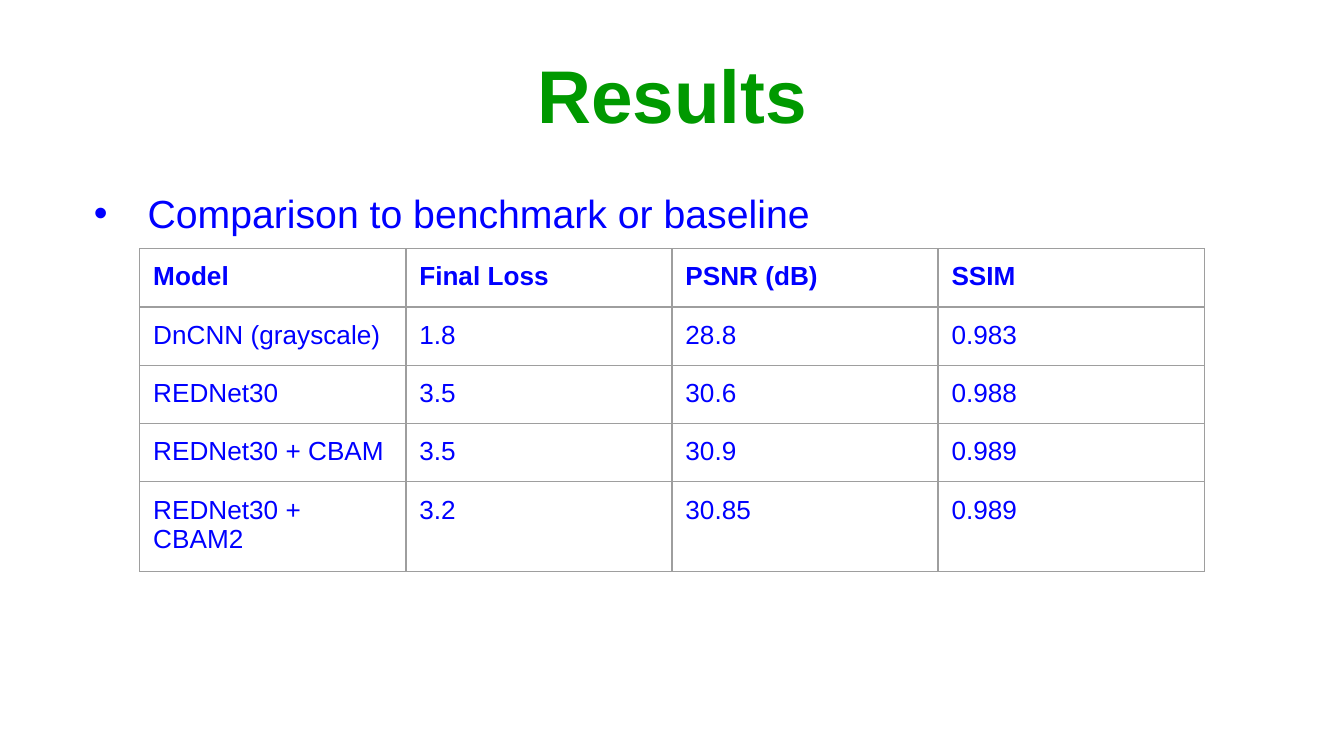
from lxml import etree
from pptx import Presentation
from pptx.dml.color import RGBColor
from pptx.enum.text import MSO_ANCHOR, PP_ALIGN
from pptx.oxml.ns import qn
from pptx.util import Inches, Pt

MIDDLE, TOP = MSO_ANCHOR.MIDDLE, MSO_ANCHOR.TOP
CENTER, LEFT = PP_ALIGN.CENTER, PP_ALIGN.LEFT

WIDTH, MARGIN = 10, 0.5
HEIGHT = WIDTH * 9 / 16
FONT = "Arial"
GREEN, BLUE, GRAY = "009900", "0000FF", "9E9E9E"

TABLE_LEFT, TABLE_TOP = 1.04, 1.85
COLUMN_WIDTH, ROW_HEIGHT, CELL_PADDING = 1.98, 0.42, 0.1
RESULTS = [
    ("Model", "Final Loss", "PSNR (dB)", "SSIM"),
    ("DnCNN (grayscale)", "1.8", "28.8", "0.983"),
    ("REDNet30", "3.5", "30.6", "0.988"),
    ("REDNet30 + CBAM", "3.5", "30.9", "0.989"),
    ("REDNet30 + CBAM2", "3.2", "30.85", "0.989"),
]


def style_font(paragraph, size, color, bold=False):
    font = paragraph.font
    font.name, font.size, font.bold = FONT, Pt(size), bold
    font.color.rgb = RGBColor.from_string(color)


def add_text(slide, text, top, height, size, color, bold=False,
             align=LEFT, anchor=TOP):
    """Add a text box between the side margins and return its paragraph."""
    box = slide.shapes.add_textbox(Inches(MARGIN), Inches(top),
                                   Inches(WIDTH - 2 * MARGIN), Inches(height))
    frame = box.text_frame
    frame.word_wrap = True
    frame.vertical_anchor = anchor
    paragraph = frame.paragraphs[0]
    paragraph.text = text
    paragraph.alignment = align
    style_font(paragraph, size, color, bold)
    return paragraph


def add_bullet(paragraph, color, indent, hanging):
    properties = paragraph._p.get_or_add_pPr()
    properties.set("marL", str(Inches(indent)))
    properties.set("indent", str(-Inches(hanging)))
    bullet_color = etree.SubElement(properties, qn("a:buClr"))
    etree.SubElement(bullet_color, qn("a:srgbClr"), val=color)
    etree.SubElement(properties, qn("a:buFont"), typeface=FONT)
    etree.SubElement(properties, qn("a:buChar"), char="•")
    # Default run properties come last in the schema order
    properties.append(properties.find(qn("a:defRPr")))


def draw_borders(cell, color, width):
    properties = cell._tc.get_or_add_tcPr()
    for side in ("lnL", "lnR", "lnT", "lnB"):
        line = etree.SubElement(properties, qn(f"a:{side}"), w=str(Pt(width)))
        fill = etree.SubElement(line, qn("a:solidFill"))
        etree.SubElement(fill, qn("a:srgbClr"), val=color)


def fill_cell(cell, text, bold):
    cell.text = text
    cell.margin_left = cell.margin_right = Inches(CELL_PADDING)
    cell.margin_top = cell.margin_bottom = Inches(CELL_PADDING)
    paragraph = cell.text_frame.paragraphs[0]
    paragraph.line_spacing = 1.0
    style_font(paragraph, 14, BLUE, bold)
    draw_borders(cell, GRAY, 0.75)
    cell.fill.background()


def add_results_table(slide, rows):
    row_count, column_count = len(rows), len(rows[0])
    table = slide.shapes.add_table(
        row_count, column_count, Inches(TABLE_LEFT), Inches(TABLE_TOP),
        Inches(column_count * COLUMN_WIDTH), Inches(row_count * ROW_HEIGHT),
    ).table
    table.first_row = table.horz_banding = False
    for r, values in enumerate(rows):
        for c, value in enumerate(values):
            fill_cell(table.cell(r, c), value, bold=r == 0)


def main():
    presentation = Presentation()
    presentation.slide_width = Inches(WIDTH)
    presentation.slide_height = Inches(HEIGHT)
    slide = presentation.slides.add_slide(presentation.slide_layouts[6])

    # Heading
    add_text(slide, "Results", 0.23, 0.94, 40, GREEN, bold=True,
             align=CENTER, anchor=MIDDLE)

    # Bulleted lead-in
    comparison = add_text(slide, "Comparison to benchmark or baseline",
                          1.31, 3.71, 21, BLUE)
    comparison.line_spacing = 1.15
    comparison.space_before = Pt(10)
    add_bullet(comparison, BLUE, indent=0.5, hanging=0.4)

    # Model scores
    add_results_table(slide, RESULTS)

    presentation.save("out.pptx")


if __name__ == "__main__":
    main()
